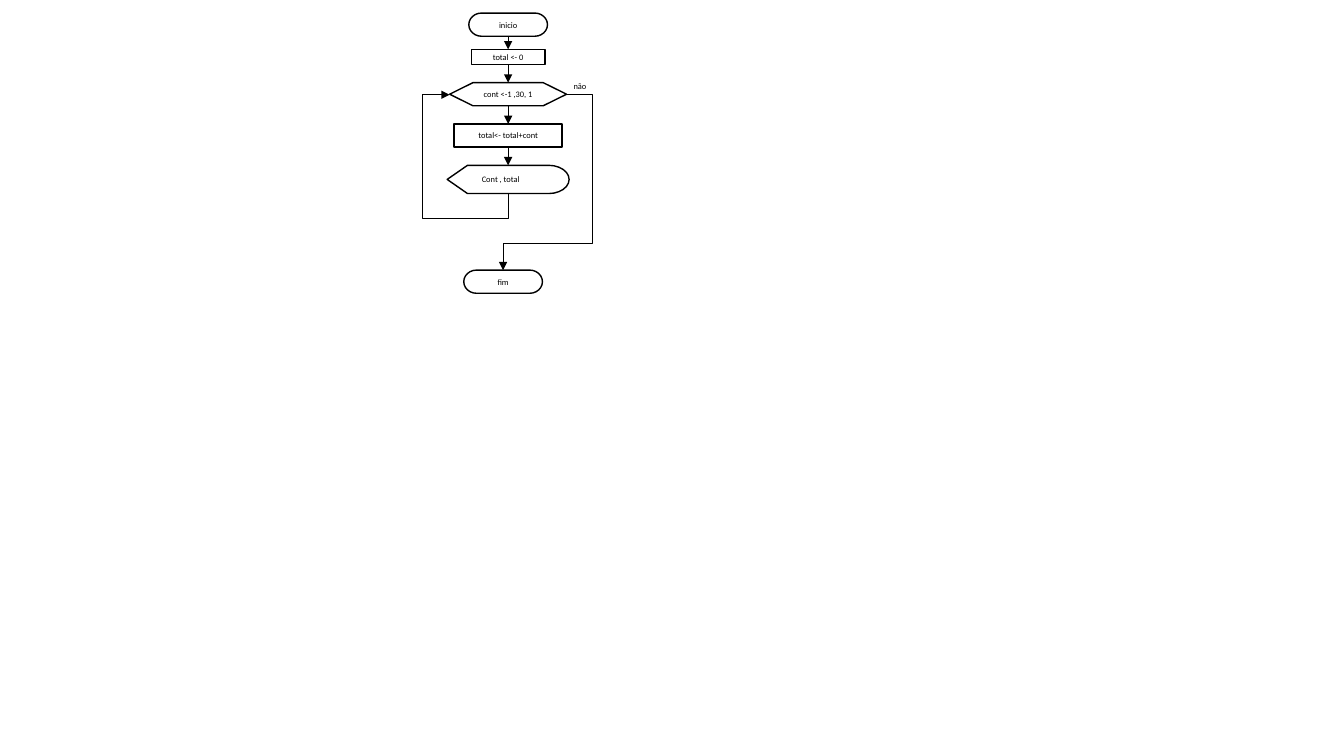
import pptx
import pptx.util
import pptx.dml.color
import pptx.enum.shapes
import pptx.enum.text
import pptx.oxml.ns
import lxml.etree

Inches = pptx.util.Inches
Shape = pptx.enum.shapes.MSO_SHAPE
Connector = pptx.enum.shapes.MSO_CONNECTOR
qn = pptx.oxml.ns.qn
BLACK = pptx.dml.color.RGBColor(0, 0, 0)
WHITE = pptx.dml.color.RGBColor(255, 255, 255)

deck = pptx.Presentation()
deck.slide_width = Inches(13.33)
deck.slide_height = Inches(7.5)
page = deck.slides.add_slide(deck.slide_layouts[6])


def write(box, words, alignment):
    """Put one small black line of text in a box."""
    para = box.text_frame.paragraphs[0]
    para.text = words
    para.alignment = alignment
    para.font.name = "Calibri"
    para.font.size = pptx.util.Pt(6)
    para.font.color.rgb = BLACK


def add_arrow(kind, start, end):
    """Draw a thin black connector with a triangle at its end."""
    arrow = page.shapes.add_connector(kind, *map(Inches, start + end))
    arrow.line.color.rgb = BLACK
    arrow.line.width = pptx.util.Pt(0.5)
    properties = arrow._element.spPr
    line = properties.find(qn("a:ln"))
    lxml.etree.SubElement(line, qn("a:tailEnd"), type="triangle")
    lxml.etree.SubElement(properties, qn("a:effectLst"))
    return arrow


# Flowchart steps: shape, centre x, top, width, height, words
CENTRE = 5.04
END_CENTRE = 4.99
steps = [
    (Shape.FLOWCHART_TERMINATOR, CENTRE, 0.13, 0.78, 0.23, "inicio"),
    (Shape.FLOWCHART_PROCESS, CENTRE, 0.49, 0.73, 0.15, "total <- 0"),
    (Shape.FLOWCHART_PREPARATION, CENTRE, 0.82, 1.16, 0.23, "cont <-1 ,30, 1"),
    (Shape.FLOWCHART_PROCESS, CENTRE, 1.23, 1.07, 0.23, "total<- total+cont"),
    (Shape.FLOWCHART_DISPLAY, CENTRE, 1.64, 1.21, 0.28, None),
    (Shape.FLOWCHART_TERMINATOR, END_CENTRE, 2.68, 0.78, 0.23, "fim"),
]
for kind, centre, top, width, height, words in steps:
    step = page.shapes.add_shape(
        kind, Inches(centre - width / 2), Inches(top), Inches(width), Inches(height))
    step.shadow.inherit = False
    step.line.color.rgb = BLACK
    step.line.width = pptx.util.Pt(1)
    if words:
        step.fill.solid()
        step.fill.fore_color.rgb = WHITE
        step.text_frame.vertical_anchor = pptx.enum.text.MSO_ANCHOR.MIDDLE
        write(step, words, pptx.enum.text.PP_ALIGN.CENTER)
    else:
        step.fill.background()

labels = [("Cont , total", 4.68, 1.68, 0.78), ("não", 5.59, 0.76, 0.35)]
for words, left, top, width in labels:
    label = page.shapes.add_textbox(
        Inches(left), Inches(top), Inches(width), Inches(0.2))
    label.text_frame.word_wrap = True
    label.text_frame.auto_size = pptx.enum.text.MSO_AUTO_SIZE.SHAPE_TO_FIT_TEXT
    write(label, words, pptx.enum.text.PP_ALIGN.LEFT)

# Straight arrows run from the bottom of each step to the top of the next
for upper, lower in zip(steps[:4], steps[1:5]):
    add_arrow(Connector.STRAIGHT, (CENTRE, upper[2] + upper[4]), (CENTRE, lower[2]))

# Bent arrows: start and end before turning, quarter turns, two bend positions
bent_arrows = [
    ((5.24, 1.14), (4.26, 1.72), 1, (-25400, 147300)),  # back to the loop
    ((5.62, 0.94), (END_CENTRE, 2.68), 0, (-39900, 85000)),  # out to the end
]
for start, end, turns, bends in bent_arrows:
    arrow = add_arrow(Connector.ELBOW, start, end)
    properties = arrow._element.spPr
    if turns:
        properties.find(qn("a:xfrm")).set("rot", str(turns * 90 * 60000))
    geometry = properties.find(qn("a:prstGeom"))
    geometry.set("prst", "bentConnector4")
    guides = geometry.find(qn("a:avLst"))
    for number, bend in enumerate(bends, 1):
        lxml.etree.SubElement(
            guides, qn("a:gd"), name=f"adj{number}", fmla=f"val {bend}")

deck.save("out.pptx")
